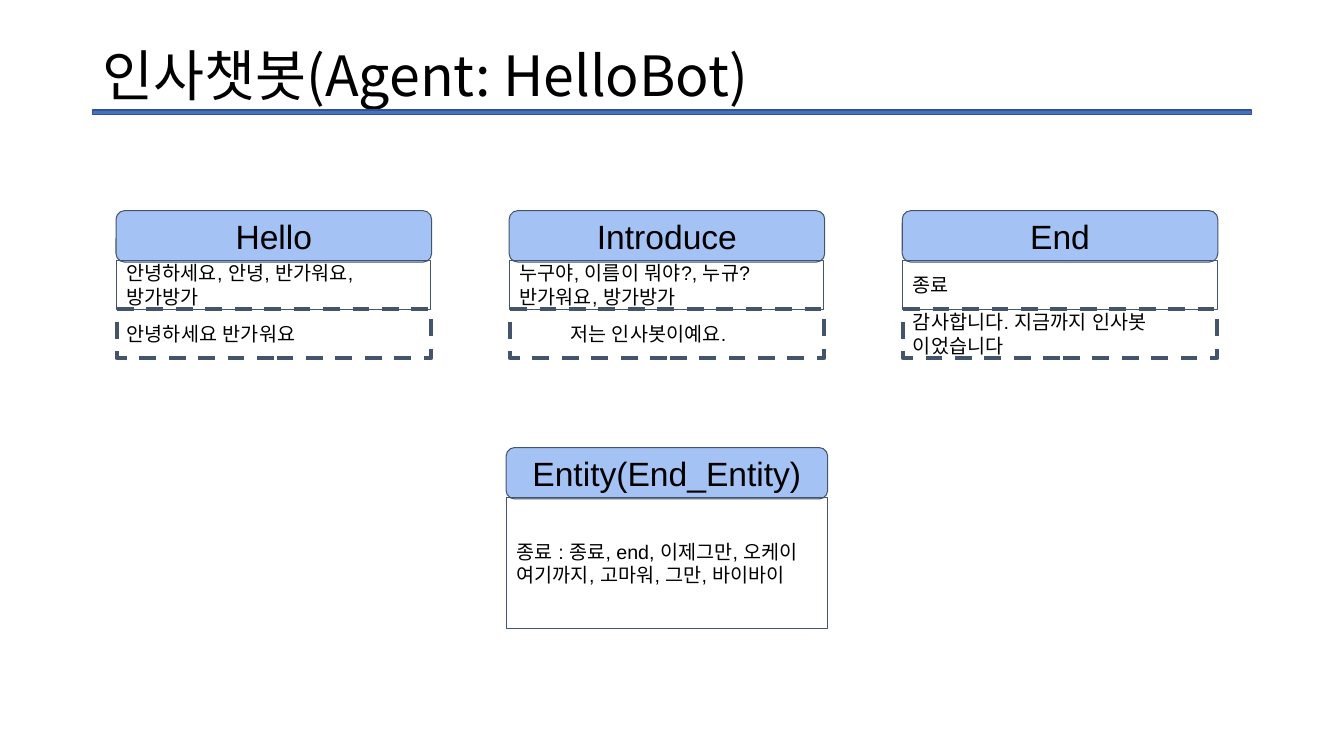
import pptx
import pptx.dml.color
import pptx.enum.dml
import pptx.enum.shapes
import pptx.enum.text
import pptx.oxml
import pptx.oxml.ns
import pptx.util

Pt = pptx.util.Pt
SHAPES = pptx.enum.shapes.MSO_SHAPE
ALIGN = pptx.enum.text.PP_ALIGN

COLORS = {
    "text": "000000",
    "header": "A4C2F4",
    "outline": "44546A",
    "rule": "4472C4",
    "rule_edge": "31538F",
}
INTENTS = [
    ("Hello", "안녕하세요, 안녕, 반가워요, 방가방가", "안녕하세요 반가워요"),
    ("Introduce", "누구야, 이름이 뭐야?, 누규? 반가워요, 방가방가", "\t저는 인사봇이예요."),
    ("End", "종료", "감사합니다. 지금까지 인사봇 이었습니다"),
]
ENTITY = ("Entity(End_Entity)", "종료 : 종료, end, 이제그만, 오케이 여기까지, 고마워, 그만, 바이바이")


def color(name):
    return pptx.dml.color.RGBColor.from_string(COLORS[name])


def write(frame, text, size, font, align, inset):
    frame.word_wrap = True
    frame.auto_size = pptx.enum.text.MSO_AUTO_SIZE.NONE
    frame.vertical_anchor = pptx.enum.text.MSO_ANCHOR.MIDDLE
    frame.margin_left = frame.margin_right = Pt(7.2)
    frame.margin_top = frame.margin_bottom = Pt(inset)
    paragraph = frame.paragraphs[0]
    paragraph.alignment = align
    run = paragraph.add_run()
    run.text = text
    run.font.size = Pt(size)
    run.font.name = font
    run.font.color.rgb = color("text")
    east_asian = pptx.oxml.parse_xml(
        f'<a:ea {pptx.oxml.ns.nsdecls("a")} typeface="{font}"/>')
    run.font._element.append(east_asian)


def add_box(slide, kind, left, top, width, height, fill, edge, weight):
    box = slide.shapes.add_shape(kind, Pt(left), Pt(top), Pt(width), Pt(height))
    box.shadow.inherit = False
    if fill:
        box.fill.solid()
        box.fill.fore_color.rgb = color(fill)
    else:
        box.fill.background()
    box.line.color.rgb = color(edge)
    box.line.width = Pt(weight)
    return box


def add_title(slide, text):
    add_box(slide, SHAPES.RECTANGLE, 66.2, 78.6, 828, 3.4, "rule", "rule_edge", 1)
    title = slide.shapes.title
    title.left, title.top, title.width, title.height = Pt(66), Pt(28.8), Pt(828), Pt(54)
    write(title.text_frame, text, 39.6, "Noto Sans CJK KR", ALIGN.LEFT, 3.6)
    title.text_frame.paragraphs[0].line_spacing = 0.9


def add_header(slide, text, left, top, width):
    header = add_box(slide, SHAPES.ROUNDED_RECTANGLE, left, top, width, 36.7,
                     "header", "outline", 0.75)
    write(header.text_frame, text, 24, "Arial", ALIGN.CENTER, 7.2)


def add_body(slide, text, left, top, width, height, dashed=False):
    body = add_box(slide, SHAPES.RECTANGLE, left, top, width, height,
                   None, "outline", 3 if dashed else 0.75)
    if dashed:
        body.line.dash_style = pptx.enum.dml.MSO_LINE.DASH
    write(body.text_frame, text, 14, "Arial", ALIGN.LEFT, 7.2)


def main():
    deck = pptx.Presentation()
    deck.slide_width, deck.slide_height = Pt(960), Pt(540)
    slide = deck.slides.add_slide(deck.slide_layouts[5])
    add_title(slide, "인사챗봇(Agent: HelloBot)")

    for column, (intent, phrases, response) in enumerate(INTENTS):
        left = 82.9 + 280.8 * column
        add_header(slide, intent, left, 150.5, 225.4)
        add_body(slide, response, left + 0.5, 221, 224.6, 34.8, dashed=True)
        add_body(slide, phrases, left + 0.3, 186, 224.6, 34.8)

    entity, synonyms = ENTITY
    add_header(slide, entity, 361.5, 319.7, 229.7)
    add_body(slide, synonyms, 361.9, 355.4, 229, 93.6)
    deck.save("out.pptx")


if __name__ == "__main__":
    main()
